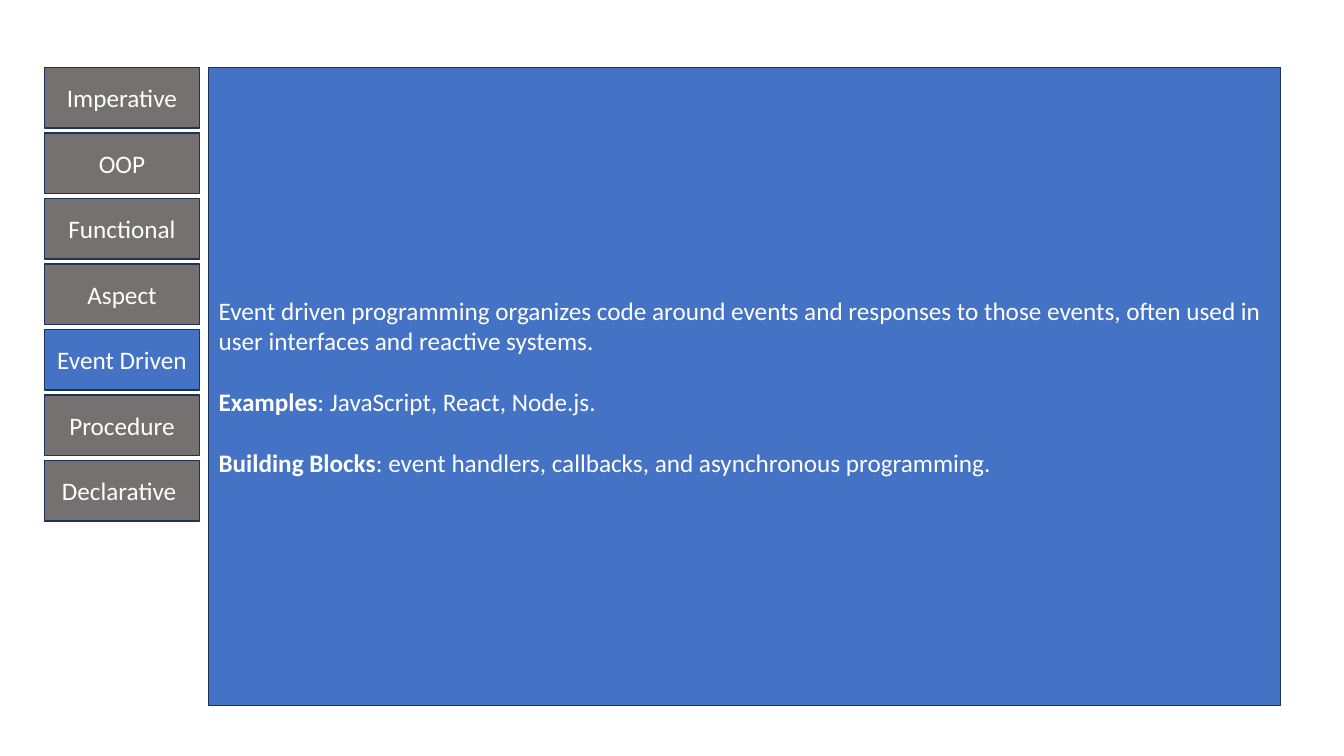
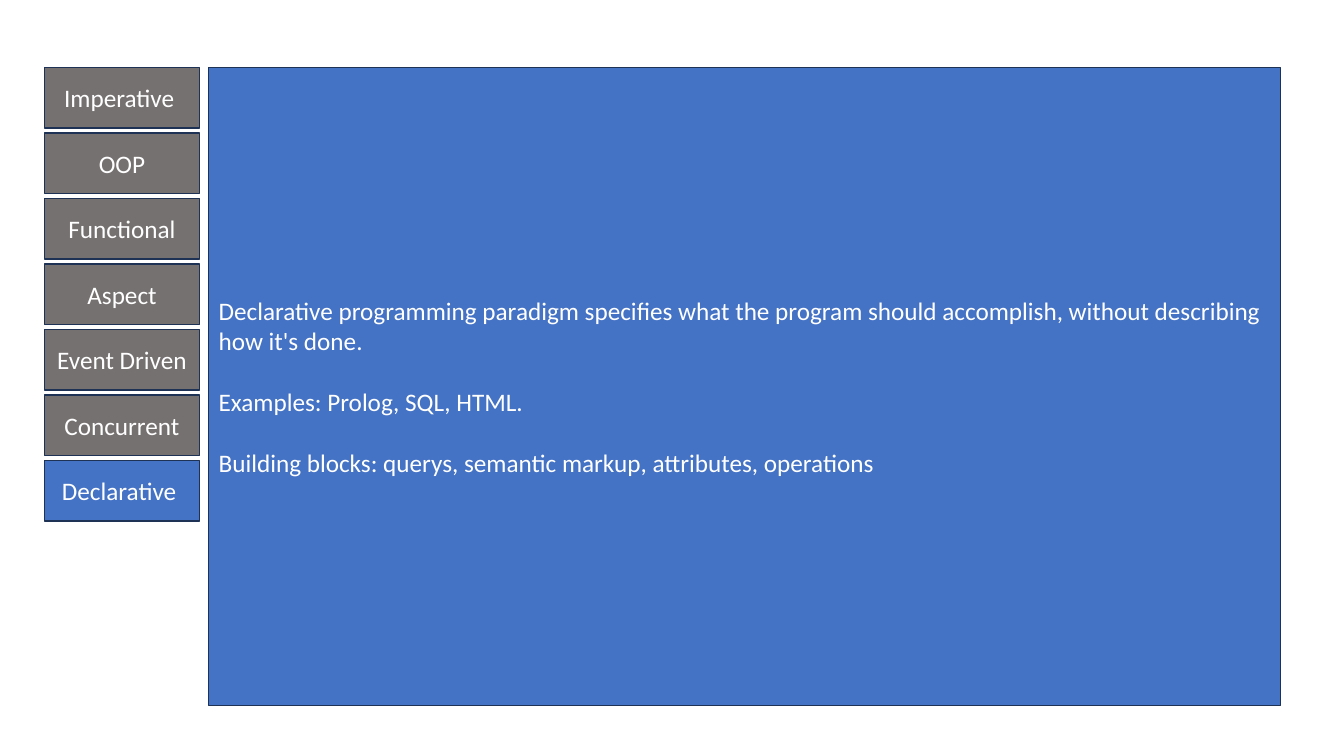
from pptx import Presentation
from pptx.dml.color import RGBColor
from pptx.enum.shapes import MSO_SHAPE
from pptx.enum.text import MSO_ANCHOR, PP_ALIGN
from pptx.util import Inches, Pt

COLORS = {"active": "4472C4", "inactive": "767171", "border": "1E3256", "text": "FFFFFF"}
FONT_NAME = "Calibri"
FONT_SIZE = Pt(18)
PARAGRAPH_GAP = Pt(22)

TOP = 0.67
TAB_LEFT, TAB_WIDTH, TAB_HEIGHT, TAB_PITCH = 0.44, 1.54, 0.6, 0.65
PANEL_LEFT, PANEL_WIDTH, PANEL_HEIGHT = 2.07, 10.63, 6.33

SHARED_TABS = ["OOP", "Functional", "Aspect", "Event Driven"]

SLIDES = [
    {
        "tabs": ["Imperative", *SHARED_TABS, "Procedure", "Declarative "],
        "active": "Event Driven",
        "paragraphs": [
            [("Event driven programming organizes code around events and responses to those "
              "events, often used in user interfaces and reactive systems.", False)],
            [("Examples", True), (": JavaScript, React, Node.js.", False)],
            [("Building Blocks", True),
             (": event handlers, callbacks, and asynchronous programming.", False)],
        ],
    },
    {
        "tabs": ["Imperative ", *SHARED_TABS, "Concurrent", "Declarative "],
        "active": "Declarative ",
        "paragraphs": [
            [("Declarative programming paradigm specifies what the program should accomplish, "
              "without describing how it's done.", False)],
            [("Examples: Prolog, SQL, HTML.", False)],
            [("Building blocks: querys, semantic markup, attributes, operations", False)],
        ],
    },
]


def color(name):
    return RGBColor.from_string(COLORS[name])


def add_box(slide, left, top, width, height, fill, paragraphs, alignment):
    shape = slide.shapes.add_shape(
        MSO_SHAPE.RECTANGLE, Inches(left), Inches(top), Inches(width), Inches(height))
    shape.shadow.inherit = False
    shape.fill.solid()
    shape.fill.fore_color.rgb = color(fill)
    shape.line.color.rgb = color("border")
    shape.line.width = Pt(1)
    text_frame = shape.text_frame
    text_frame.word_wrap = True
    text_frame.vertical_anchor = MSO_ANCHOR.MIDDLE
    for index, runs in enumerate(paragraphs):
        paragraph = text_frame.add_paragraph() if index else text_frame.paragraphs[0]
        paragraph.alignment = alignment
        if index:
            paragraph.space_before = PARAGRAPH_GAP
        for text, bold in runs:
            run = paragraph.add_run()
            run.text = text
            run.font.name = FONT_NAME
            run.font.size = FONT_SIZE
            run.font.bold = bold
            run.font.color.rgb = color("text")


def build_slide(presentation, content):
    slide = presentation.slides.add_slide(presentation.slide_layouts[6])
    for row, label in enumerate(content["tabs"]):
        fill = "active" if label == content["active"] else "inactive"
        add_box(slide, TAB_LEFT, TOP + row * TAB_PITCH, TAB_WIDTH, TAB_HEIGHT,
                fill, [[(label, False)]], PP_ALIGN.CENTER)
    add_box(slide, PANEL_LEFT, TOP, PANEL_WIDTH, PANEL_HEIGHT,
            "active", content["paragraphs"], PP_ALIGN.LEFT)


def main():
    presentation = Presentation()
    presentation.slide_width = Inches(13.33)
    presentation.slide_height = Inches(7.5)
    for content in SLIDES:
        build_slide(presentation, content)
    presentation.save("out.pptx")


if __name__ == "__main__":
    main()
